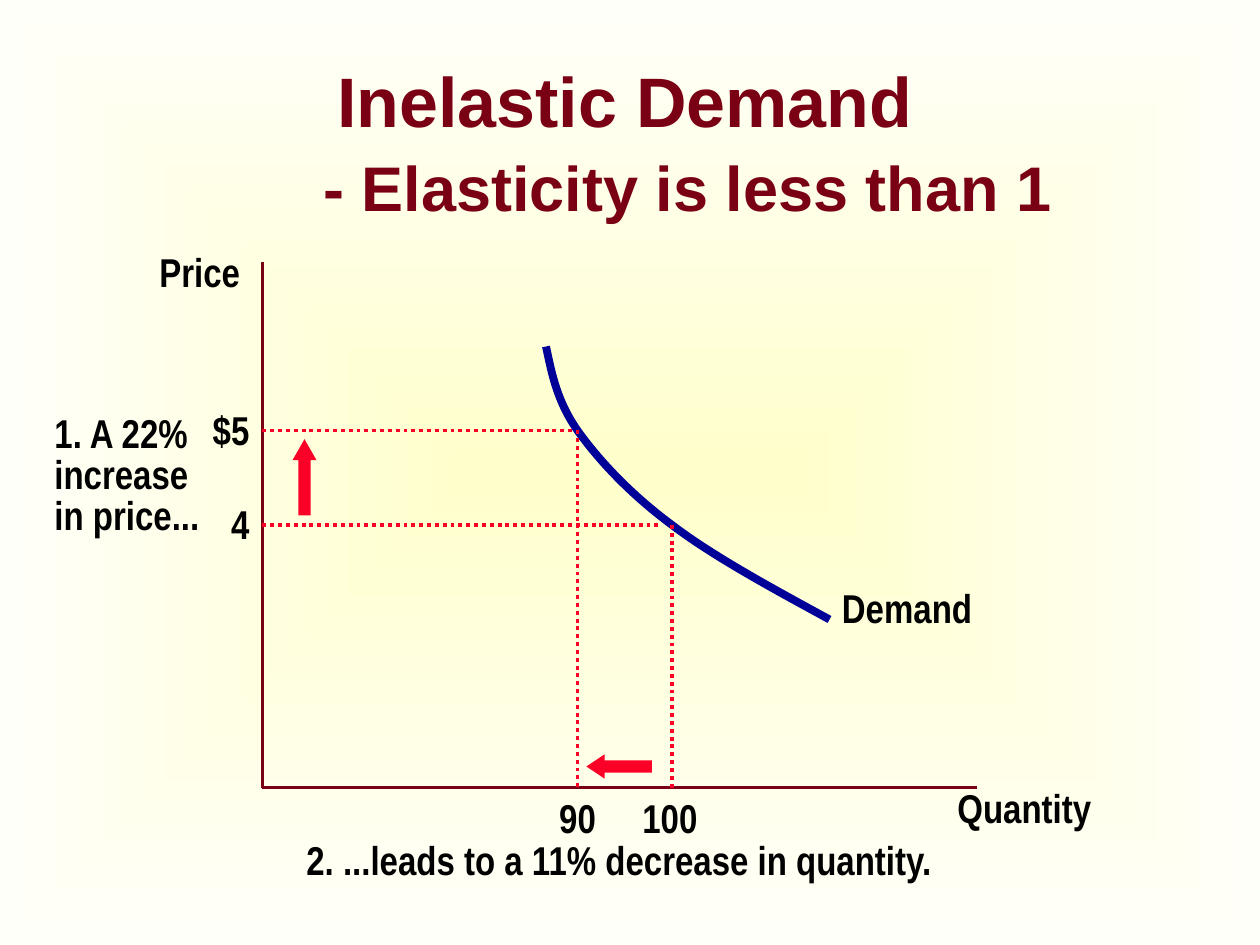
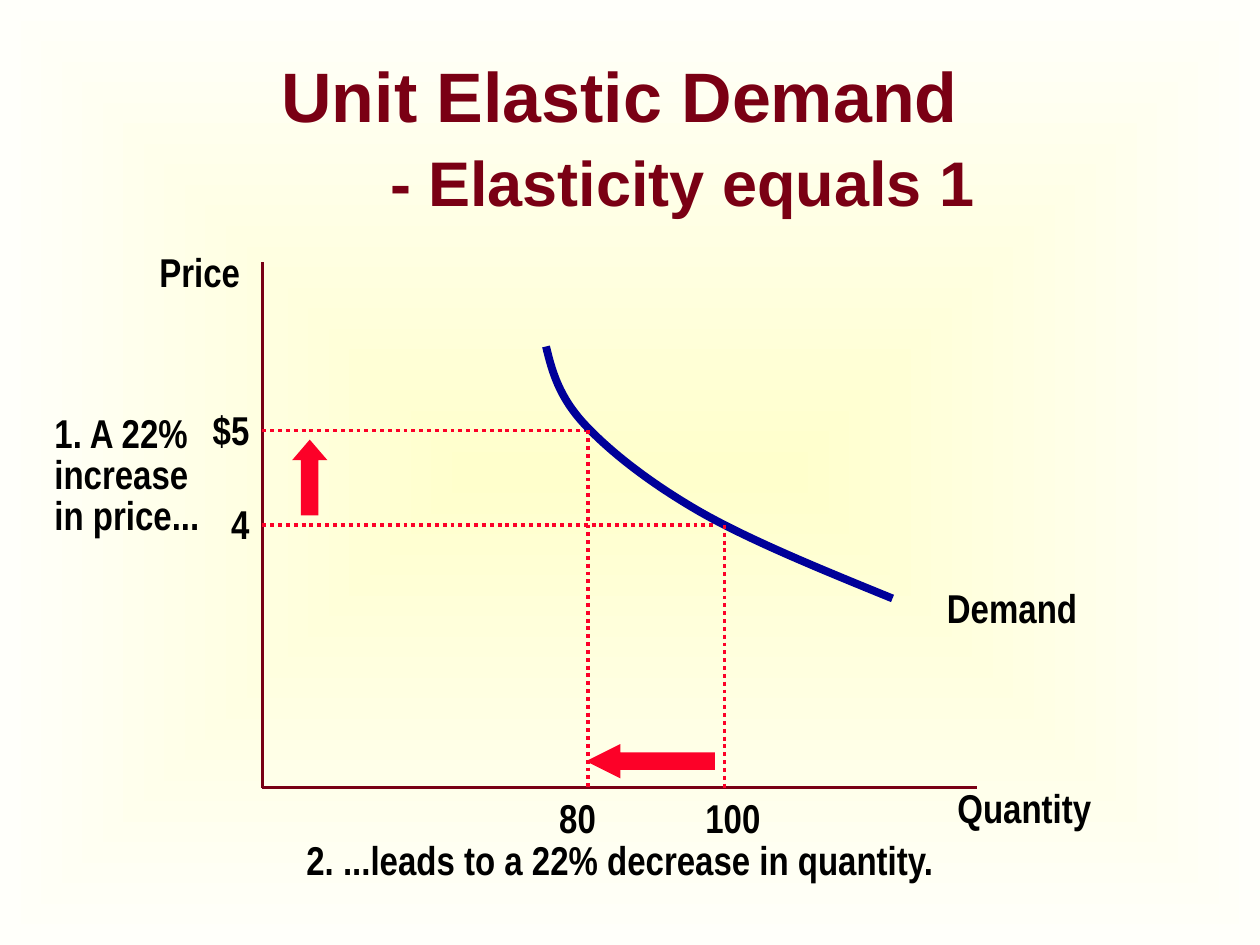
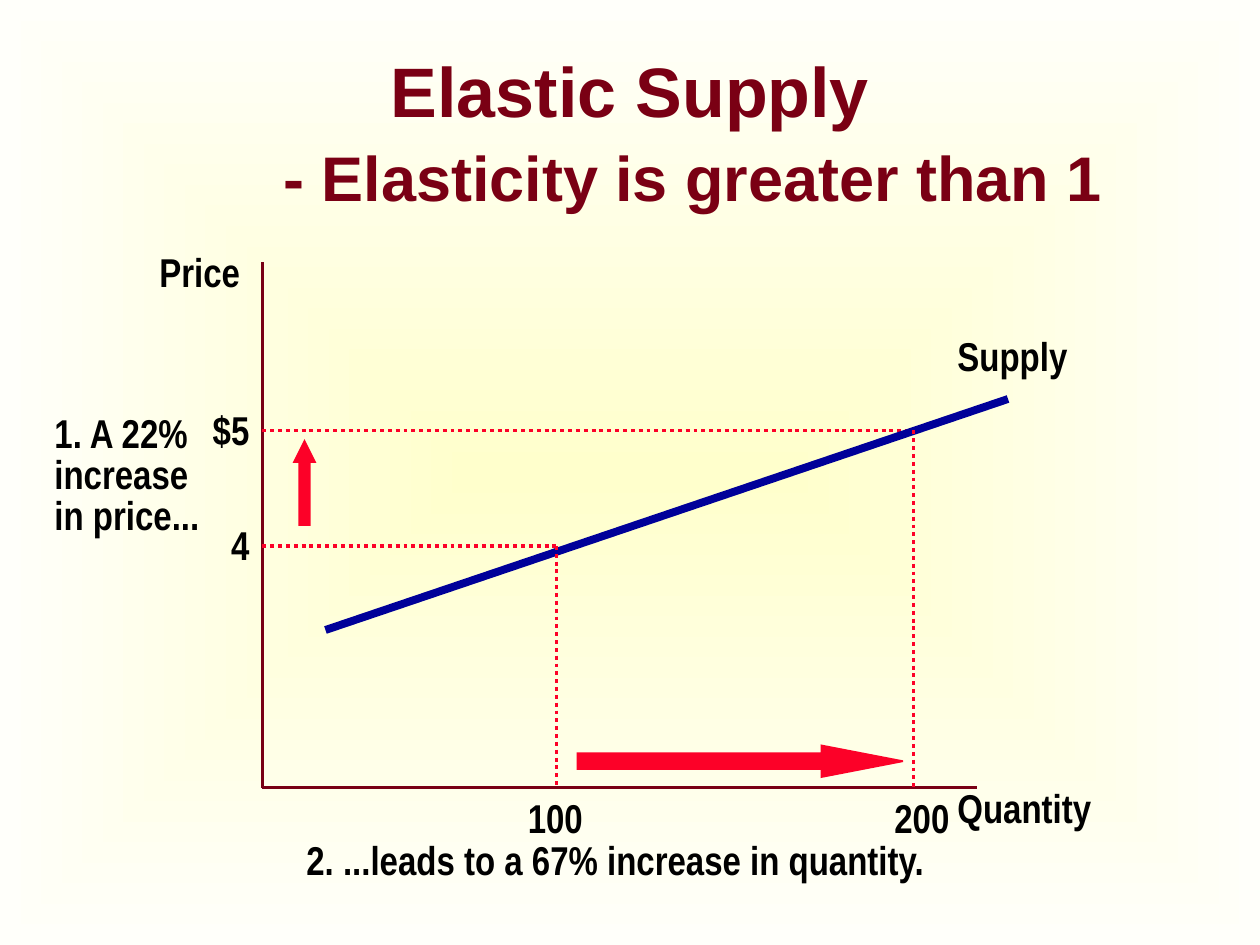
from dataclasses import dataclass

from lxml.etree import SubElement
from pptx import Presentation
from pptx.dml.color import RGBColor
from pptx.enum.dml import MSO_LINE_DASH_STYLE as Dash
from pptx.enum.shapes import MSO_CONNECTOR as Connector, MSO_SHAPE as Preset
from pptx.enum.text import MSO_ANCHOR as Anchor, PP_ALIGN as Align
from pptx.oxml.ns import qn
from pptx.slide import Slide
from pptx.text.text import Font, _Paragraph as Paragraph
from pptx.util import Pt

COLORS = {
    "center": "FFFFCC", "edge": "FFFFFA", "title": "7A0014", "axis": "790015",
    "text": "000000", "accent": "FC0128", "curve": "000099",
}
ORIGIN_X, ORIGIN_Y = 150, 450
AXIS_TOP, AXIS_RIGHT = 150, 558
LABEL_HEIGHT = 35.5

Point = tuple[float, float]
Box = tuple[float, float, float, float]


@dataclass
class Guide:
    """A price level and the quantity it leads to."""
    price: str
    price_y: float
    quantity: str
    quantity_x: float
    quantity_left: float
    reach: float


@dataclass
class Arrow:
    preset: Preset
    box: Box


@dataclass
class Diagram:
    title: str
    subtitle: str
    title_box: Box
    guides: list[Guide]
    curve: list[Point]
    curve_name: str
    curve_name_box: Box
    price_arrow: Arrow
    quantity_arrow: Arrow
    result: str


DIAGRAMS = [
    Diagram(
        "Inelastic Demand", "- Elasticity is less than 1", (24, 36, 666, 90),
        [Guide("4", 300, "100", 384, 360, 378), Guide("$5", 246, "90", 330, 312.5, 330)],
        [(312, 198), (315.4, 213.8), (318.2, 229), (330, 246), (342, 262.8),
         (360, 282.2), (384, 300), (408, 318.2), (441.4, 336.2), (474, 354)],
        "Demand", (474, 330, 96, LABEL_HEIGHT),
        Arrow(Preset.UP_ARROW, (168, 252, 12, 42)),
        Arrow(Preset.LEFT_ARROW, (336, 432, 36, 12)),
        "2. ...leads to a 11% decrease in quantity.",
    ),
    Diagram(
        "Unit Elastic Demand", "- Elasticity equals 1", (24, 36, 660, 84),
        [Guide("4", 300, "100", 414, 396, 408), Guide("$5", 246, "80", 336, 312.5, 336)],
        [(312, 198), (315.5, 212.5), (319.5, 226.8), (334, 242.5), (348.5, 258),
         (371, 275.8), (400, 292.5), (429, 309), (469.5, 325.5), (510, 342)],
        "Demand", (534, 330, 96, LABEL_HEIGHT),
        Arrow(Preset.UP_ARROW, (168, 252, 18, 42)),
        Arrow(Preset.LEFT_ARROW, (336, 426, 72, 18)),
        "2. ...leads to a 22% decrease in quantity.",
    ),
    Diagram(
        "Elastic Supply", "- Elasticity is greater than 1", (0, 30, 720, 90),
        [Guide("4", 312, "100", 318, 294.5, 318), Guide("$5", 246, "200", 522, 504, 522)],
        [(186, 360), (576, 228)],
        "Supply", (540, 186, 84, LABEL_HEIGHT),
        Arrow(Preset.UP_ARROW, (168, 252, 12, 48)),
        Arrow(Preset.RIGHT_ARROW, (330, 426, 186, 18)),
        "2. ...leads to a 67% increase in quantity.",
    ),
]


def rgb(name: str) -> RGBColor:
    return RGBColor.from_string(COLORS[name])


def style_font(font: Font, name: str, size: float, color: str) -> None:
    font.name, font.size, font.bold = name, Pt(size), True
    font.color.rgb = rgb(color)


def add_text(slide: Slide, box: Box, text: str, *, font: str = "Arial Narrow",
             size: float = 23, color: str = "text", align: Align = Align.LEFT,
             anchor: Anchor = Anchor.TOP, spacing: float | None = None) -> list[Paragraph]:
    frame = slide.shapes.add_textbox(*map(Pt, box)).text_frame
    frame.text = text
    frame.word_wrap = True
    frame.vertical_anchor = anchor
    for paragraph in frame.paragraphs:
        paragraph.alignment = align
        paragraph.line_spacing = spacing
        for run in paragraph.runs:
            style_font(run.font, font, size, color)
    return list(frame.paragraphs)


def add_line(slide: Slide, start: Point, end: Point, color: str,
             width: float = 2.25, dash: Dash | None = None) -> None:
    line = slide.shapes.add_connector(Connector.STRAIGHT, *map(Pt, start + end))
    line.line.color.rgb = rgb(color)
    line.line.width = Pt(width)
    line.line.dash_style = dash
    SubElement(line._element.spPr, qn("a:effectLst"))


def add_curve(slide: Slide, points: list[Point]) -> None:
    """Draw a straight line, or Bezier arcs through every third point."""
    if len(points) == 2:
        add_line(slide, points[0], points[1], "curve", 4.5)
        return
    start, *rest = [(Pt(x), Pt(y)) for x, y in points]
    builder = slide.shapes.build_freeform(*start, scale=1.0)
    builder.add_line_segments(rest, close=False)
    curve = builder.convert_to_shape()
    curve.shadow.inherit = False
    curve.fill.background()
    curve.line.color.rgb = rgb("curve")
    curve.line.width = Pt(4.5)
    outline = next(curve._element.iter(qn("a:path")))
    segments = outline.findall(qn("a:lnTo"))
    for first in range(0, len(segments), 3):
        arc = SubElement(outline, qn("a:cubicBezTo"))
        for segment in segments[first:first + 3]:
            arc.append(segment[0])
            outline.remove(segment)


def add_arrow(slide: Slide, arrow: Arrow) -> None:
    """Draw a sharp block arrow whose head takes a quarter of its length."""
    shape = slide.shapes.add_shape(arrow.preset, *map(Pt, arrow.box))
    sides = arrow.box[2:]
    shape.adjustments[0] = 0.5
    shape.adjustments[1] = max(sides) / 4 / min(sides)
    shape.shadow.inherit = False
    shape.fill.solid()
    shape.fill.fore_color.rgb = rgb("accent")
    shape.line.color.rgb = rgb("accent")
    shape.line.width = Pt(1)
    SubElement(shape._element.spPr.find(qn("a:ln")), qn("a:miter"), lim="800000")


def add_title(slide: Slide, diagram: Diagram) -> None:
    title = add_text(slide, diagram.title_box, f"{diagram.title}\v\t", font="Arial", size=40,
                     color="title", align=Align.CENTER, anchor=Anchor.MIDDLE)[0]
    stops = SubElement(title._p.get_or_add_pPr(), qn("a:tabLst"))
    for inch in range(8):
        SubElement(stops, qn("a:tab"), pos=str(Pt(72 * inch)), algn="l")
    subtitle = title.add_run()
    subtitle.text = diagram.subtitle
    style_font(subtitle.font, "Arial", 36, "title")


def tick_width(label: str) -> float:
    return 14.5 + 10.5 * len(label)


def add_price(slide: Slide, guide: Guide) -> None:
    width = tick_width(guide.price)
    add_text(slide, (ORIGIN_X - width, guide.price_y - 18, width, LABEL_HEIGHT), guide.price)
    add_line(slide, (ORIGIN_X, guide.price_y), (guide.reach, guide.price_y),
             "accent", dash=Dash.ROUND_DOT)


def add_quantity(slide: Slide, guide: Guide) -> None:
    add_text(slide, (guide.quantity_left, ORIGIN_Y, tick_width(guide.quantity), LABEL_HEIGHT),
             guide.quantity)
    add_line(slide, (guide.quantity_x, guide.price_y), (guide.quantity_x, ORIGIN_Y),
             "accent", dash=Dash.ROUND_DOT)


def add_diagram(slide: Slide, diagram: Diagram) -> None:
    add_title(slide, diagram)
    # Axes and their names
    add_line(slide, (ORIGIN_X, AXIS_TOP), (ORIGIN_X, ORIGIN_Y), "axis")
    add_line(slide, (ORIGIN_X, ORIGIN_Y), (AXIS_RIGHT, ORIGIN_Y), "axis")
    add_text(slide, (540, 444, 98, LABEL_HEIGHT), "Quantity")
    add_text(slide, (84, 138, 64, LABEL_HEIGHT), "Price")
    # Price change
    for guide in diagram.guides:
        add_price(slide, guide)
    add_text(slide, (24, 234, 104, 78), "1. A 22%\nincrease\nin price...", spacing=0.85)
    add_arrow(slide, diagram.price_arrow)
    # Curve
    add_text(slide, diagram.curve_name_box, diagram.curve_name)
    add_curve(slide, diagram.curve)
    # Quantity change
    for guide in diagram.guides:
        add_quantity(slide, guide)
    add_text(slide, (168, 474, 380, LABEL_HEIGHT), diagram.result)
    add_arrow(slide, diagram.quantity_arrow)


def set_background(prs: Presentation) -> None:
    """Give every slide a glow that fades from the center to the edges."""
    fill = prs.slide_master.background.fill
    fill.gradient()
    for stop, color in zip(fill.gradient_stops, ("center", "edge")):
        stop.color.rgb = rgb(color)
    gradient = next(prs.slide_master._element.iter(qn("a:gradFill")))
    gradient.remove(gradient.find(qn("a:lin")))
    glow = SubElement(gradient, qn("a:path"), path="rect")
    SubElement(glow, qn("a:fillToRect"), l="50000", t="50000", r="50000", b="50000")


def main() -> None:
    prs = Presentation()
    prs.slide_width, prs.slide_height = Pt(720), Pt(540)
    set_background(prs)
    for diagram in DIAGRAMS:
        add_diagram(prs.slides.add_slide(prs.slide_layouts[6]), diagram)
    prs.save("out.pptx")


if __name__ == "__main__":
    main()
